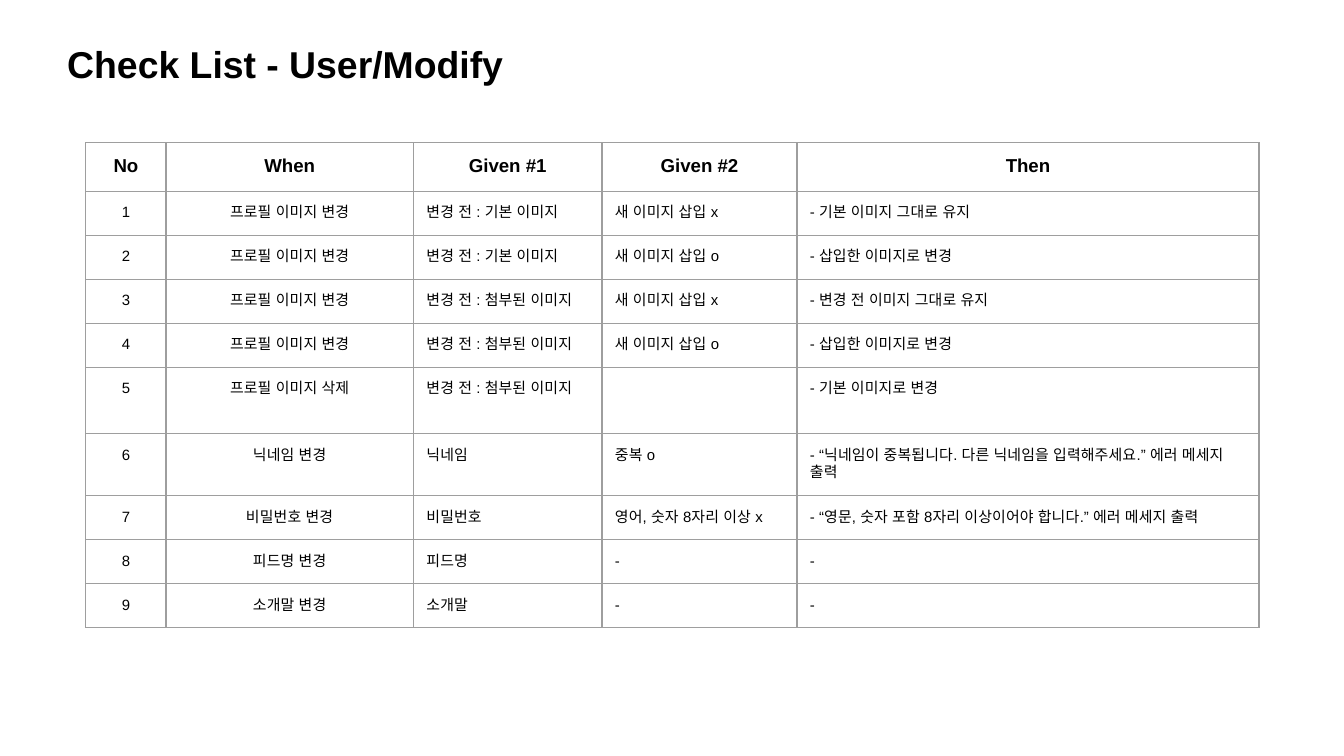
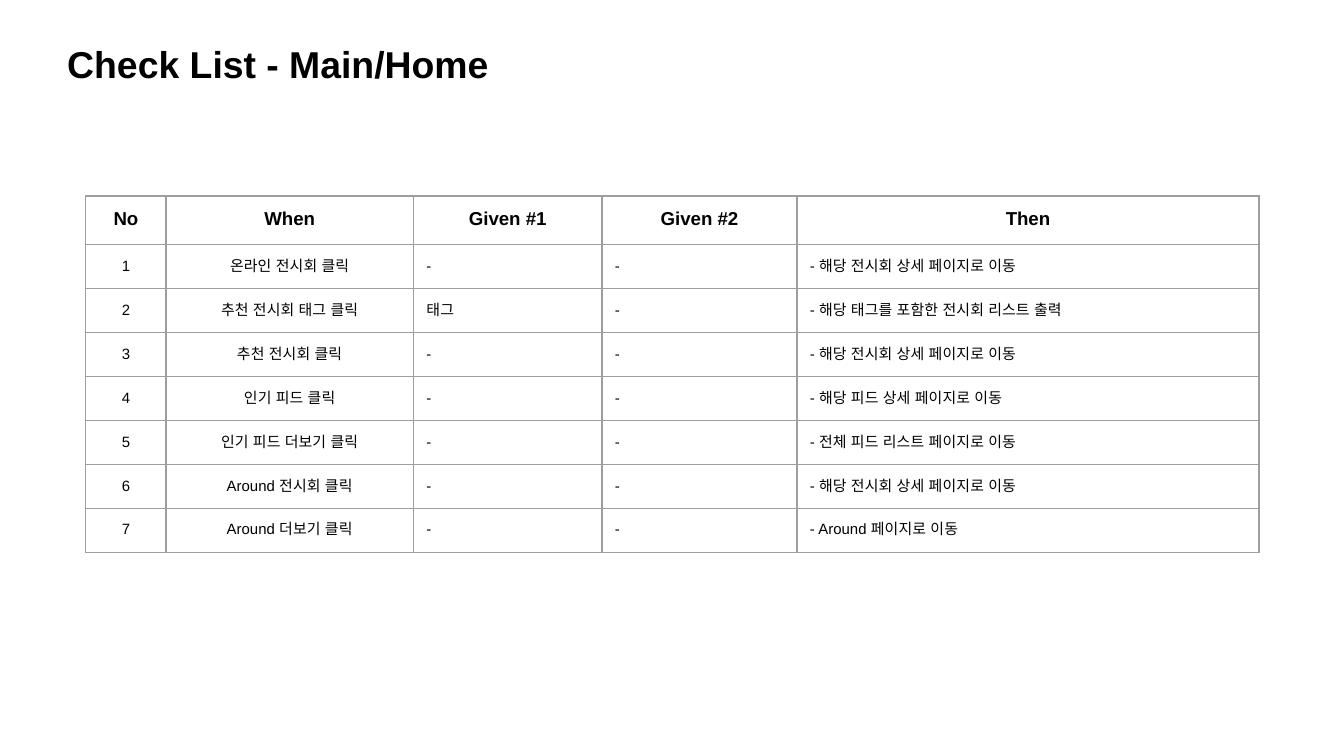
"""Build two check list slides, each a title over a bordered table."""
from dataclasses import dataclass

from lxml.etree import SubElement
from pptx import Presentation
from pptx.dml.color import RGBColor as RGB
from pptx.enum.text import MSO_ANCHOR as ANCHOR, MSO_AUTO_SIZE as FIT, PP_ALIGN as AL
from pptx.oxml.ns import qn
from pptx.util import Pt

PX = 6350


@dataclass(frozen=True)
class Theme:
    font: str = "Arial"
    ink: str = "000000"
    paper: str = "FFFFFF"
    rule: str = "9E9E9E"
    rule_width: float = 0.75
    title: int = 20
    head: int = 10
    body: int = 8


T = Theme()
INSET = 14 * PX
TITLE_BOX = (58, 30, 671, 78)
TABLE_LEFT = 92
COLS = (86, 265, 202, 209, 495)
ROW = 45
HEAD = ("No", "When", "Given #1", "Given #2", "Then")

SLIDES = [
    ("Check List - User/Modify", 153, [
        ("프로필 이미지 변경", "변경 전 : 기본 이미지", "새 이미지 삽입 x", "- 기본 이미지 그대로 유지"),
        ("프로필 이미지 변경", "변경 전 : 기본 이미지", "새 이미지 삽입 o", "- 삽입한 이미지로 변경"),
        ("프로필 이미지 변경", "변경 전 : 첨부된 이미지", "새 이미지 삽입 x", "- 변경 전 이미지 그대로 유지"),
        ("프로필 이미지 변경", "변경 전 : 첨부된 이미지", "새 이미지 삽입 o", "- 삽입한 이미지로 변경"),
        ("프로필 이미지 삭제", "변경 전 : 첨부된 이미지", "", "- 기본 이미지로 변경"),
        ("닉네임 변경", "닉네임", "중복 o",
         "- “닉네임이 중복됩니다. 다른 닉네임을 입력해주세요.” 에러 메세지 출력"),
        ("비밀번호 변경", "비밀번호", "영어, 숫자 8자리 이상 x",
         "- “영문, 숫자 포함 8자리 이상이어야 합니다.” 에러 메세지 출력"),
        ("피드명 변경", "피드명", "-", "-"),
        ("소개말 변경", "소개말", "-", "-"),
    ]),
    ("Check List - Main/Home", 210, [
        ("온라인 전시회 클릭", "-", "-", "- 해당 전시회 상세 페이지로 이동"),
        ("추천 전시회 태그 클릭", "태그", "-", "- 해당 태그를 포함한 전시회 리스트 출력"),
        ("추천 전시회 클릭", "-", "-", "- 해당 전시회 상세 페이지로 이동"),
        ("인기 피드 클릭", "-", "-", "- 해당 피드 상세 페이지로 이동"),
        ("인기 피드 더보기 클릭", "-", "-", "- 전체 피드 리스트 페이지로 이동"),
        ("Around 전시회 클릭", "-", "-", "- 해당 전시회 상세 페이지로 이동"),
        ("Around 더보기 클릭", "-", "-", "- Around 페이지로 이동"),
    ]),
]


def write(tf, text, size=T.body, bold=False, align=AL.LEFT):
    p = tf.paragraphs[0]
    p.alignment = align
    r = p.add_run()
    r.text = text
    r.font.size, r.font.bold, r.font.name = Pt(size), bold, T.font
    r.font.color.rgb = RGB.from_string(T.ink)
    SubElement(r.font._element, qn("a:ea"), typeface=T.font)


def frame_cell(cell):
    tcPr = cell._tc.get_or_add_tcPr()
    for side in "LRTB":
        ln = SubElement(tcPr, qn(f"a:ln{side}"), w=str(Pt(T.rule_width)))
        fill = SubElement(ln, qn("a:solidFill"))
        SubElement(fill, qn("a:srgbClr"), val=T.rule)
    cell.fill.background()
    cell.margin_left = cell.margin_right = INSET
    cell.margin_top = cell.margin_bottom = INSET


prs = Presentation()
prs.slide_width, prs.slide_height = 1440 * PX, 810 * PX

for title, top, checks in SLIDES:
    s = prs.slides.add_slide(prs.slide_layouts[5])
    s.background.fill.solid()
    s.background.fill.fore_color.rgb = RGB.from_string(T.paper)

    sp = s.shapes.title
    sp.left, sp.top, sp.width, sp.height = (n * PX for n in TITLE_BOX)
    tf = sp.text_frame
    tf.word_wrap, tf.auto_size = True, FIT.SHAPE_TO_FIT_TEXT
    tf.vertical_anchor = ANCHOR.TOP
    tf.margin_left = tf.margin_right = tf.margin_top = tf.margin_bottom = INSET
    write(tf, title, size=T.title, bold=True)

    rows = [HEAD] + [(str(no), *check) for no, check in enumerate(checks, 1)]
    tbl = s.shapes.add_table(len(rows), len(COLS), TABLE_LEFT * PX, top * PX,
                             sum(COLS) * PX, len(rows) * ROW * PX).table
    tbl.first_row = tbl.horz_banding = False
    for col, width in zip(tbl.columns, COLS):
        col.width = width * PX
    for i, row in enumerate(rows):
        for j, text in enumerate(row):
            cell = tbl.cell(i, j)
            frame_cell(cell)
            if text:
                write(cell.text_frame, text, size=T.body if i else T.head, bold=i == 0,
                      align=AL.CENTER if i == 0 or j < 2 else AL.LEFT)

prs.save("out.pptx")
